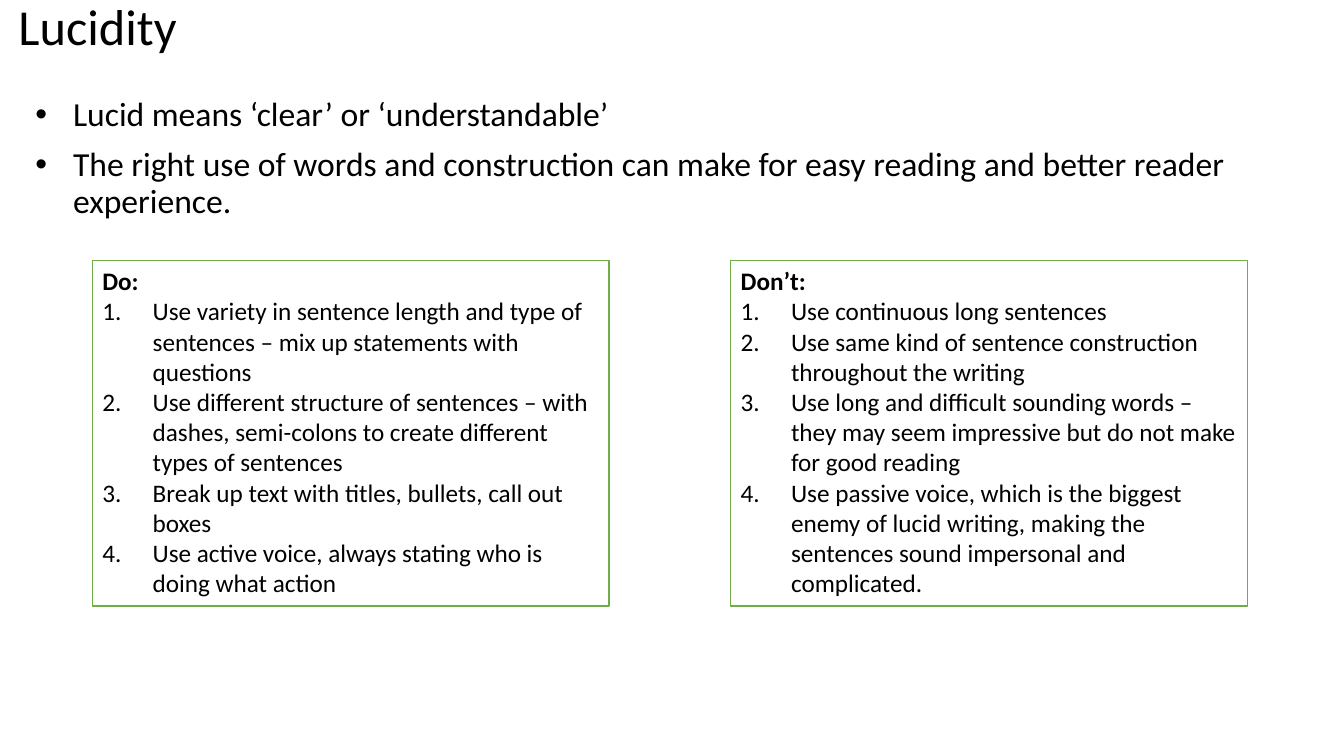
from dataclasses import dataclass

import lxml.etree
import pptx
import pptx.dml.color
import pptx.enum.shapes
import pptx.enum.text
import pptx.oxml.ns
import pptx.util

Pt = pptx.util.Pt
RGBColor = pptx.dml.color.RGBColor
Align = pptx.enum.text.PP_ALIGN
Anchor = pptx.enum.text.MSO_ANCHOR
AutoSize = pptx.enum.text.MSO_AUTO_SIZE


@dataclass(frozen=True)
class Theme:
    font: str = "Calibri"
    ink: RGBColor = RGBColor(0, 0, 0)
    paper: RGBColor = RGBColor(255, 255, 255)
    border: RGBColor = RGBColor(0x70, 0xAD, 0x47)
    title_size: float = 36
    body_size: float = 24
    card_size: float = 18


@dataclass(frozen=True)
class AdviceCard:
    left: float
    heading: str
    rules: tuple[str, ...]


THEME = Theme()
CARD_TOP, CARD_WIDTH, CARD_HEIGHT = 186, 369, 247

LUCID_POINTS = (
    "Lucid means ‘clear’ or ‘understandable’",
    "The right use of words and construction can make for easy reading "
    "and better reader experience.",
)
CARDS = (
    AdviceCard(66, "Do:", (
        "Use variety in sentence length and type of sentences – mix up statements with questions",
        "Use different structure of sentences – with dashes, semi-colons to create "
        "different types of sentences",
        "Break up text with titles, bullets, call out boxes",
        "Use active voice, always stating who is doing what action",
    )),
    AdviceCard(522, "Don’t:", (
        "Use continuous long sentences",
        "Use same kind of sentence construction throughout the writing",
        "Use long and difficult sounding words – they may seem impressive "
        "but do not make for good reading",
        "Use passive voice, which is the biggest enemy of lucid writing, making the "
        "sentences sound impersonal and complicated.",
    )),
)


def place(box, left: float, top: float, width: float, height: float) -> None:
    box.left, box.top, box.width, box.height = map(Pt, (left, top, width, height))


def add_marker(para, tag: str, indent: float, **attributes: str) -> None:
    """Give a paragraph a hanging indent and a bullet or number."""
    properties = para._p.get_or_add_pPr()
    properties.set("marL", str(Pt(indent)))
    properties.set("indent", str(-Pt(indent)))
    marker = lxml.etree.SubElement(properties, pptx.oxml.ns.qn(tag))
    for name, value in attributes.items():
        marker.set(name, value)


def style(para, size: float, bold: bool = False, line_spacing: float = 1.0,
          space_before: float = 0) -> None:
    para.alignment = Align.LEFT
    para.line_spacing = line_spacing
    para.space_before = Pt(space_before)
    for span in para.runs:
        span.font.name = THEME.font
        span.font.size = Pt(size)
        span.font.bold = bold
        span.font.color.rgb = THEME.ink


def fill_title(box) -> None:
    place(box, 6, 0, 168, 42)
    frame = box.text_frame
    frame.text = "Lucidity"
    frame.vertical_anchor = Anchor.MIDDLE
    frame.auto_size = AutoSize.NONE
    style(frame.paragraphs[0], THEME.title_size, line_spacing=0.9)


def fill_body(box) -> None:
    place(box, 18, 66, 906, 120)
    frame = box.text_frame
    frame.text = "\n".join(LUCID_POINTS)
    frame.auto_size = AutoSize.NONE
    for index, para in enumerate(frame.paragraphs):
        add_marker(para, "a:buChar", 27, char="•")
        style(para, THEME.body_size, line_spacing=0.9, space_before=10 if index else 0)


def draw_card(page, card: AdviceCard) -> None:
    box = page.shapes.add_shape(
        pptx.enum.shapes.MSO_SHAPE.RECTANGLE,
        Pt(card.left), Pt(CARD_TOP), Pt(CARD_WIDTH), Pt(CARD_HEIGHT))
    box.shadow.inherit = False
    box.fill.solid()
    box.fill.fore_color.rgb = THEME.paper
    box.line.color.rgb = THEME.border
    box.line.width = Pt(1)
    frame = box.text_frame
    frame.text = "\n".join((card.heading, *card.rules))
    frame.word_wrap = True
    frame.vertical_anchor = Anchor.TOP
    frame.auto_size = AutoSize.SHAPE_TO_FIT_TEXT
    heading, *rules = frame.paragraphs
    style(heading, THEME.card_size, bold=True)
    for para in rules:
        add_marker(para, "a:buAutoNum", 36, type="arabicPeriod")
        style(para, THEME.card_size)


def main() -> None:
    deck = pptx.Presentation()
    deck.slide_width, deck.slide_height = Pt(960), Pt(540)
    page = deck.slides.add_slide(deck.slide_layouts[1])

    # Title and introduction
    fill_title(page.shapes.title)
    fill_body(page.placeholders[1])

    # Advice cards
    for card in CARDS:
        draw_card(page, card)

    deck.save("out.pptx")


if __name__ == "__main__":
    main()
